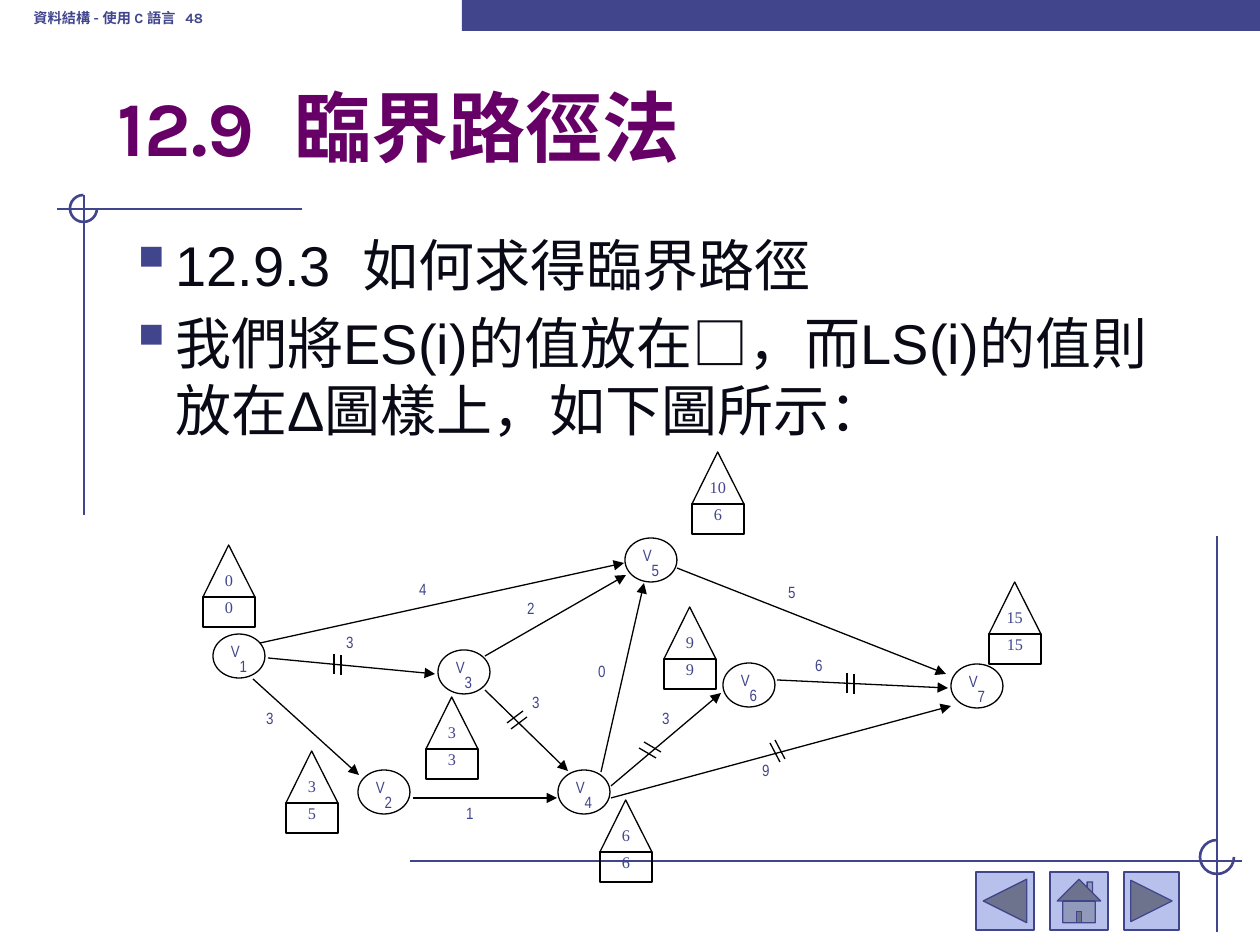
from lxml import etree
from pptx import Presentation
from pptx.dml.color import RGBColor
from pptx.enum.shapes import MSO_CONNECTOR, MSO_SHAPE as SHAPE
from pptx.enum.text import MSO_ANCHOR as ANCHOR, PP_ALIGN as ALIGN
from pptx.oxml.ns import qn
from pptx.util import Emu, Pt

EMU_PER_PX = 914400 / 126
INDIGO, BLACK, PURPLE, INK, PALE = "40458C", "000000", "660066", "090A15", "B7C1EB"
RAISED, LOWERED = 30000, -25000
NODE_W, NODE_H = 52, 44
BOX_H = 30

VERTICES = [(213, 634), (358, 770), (438, 650), (558, 770),
            (625, 538), (723, 663), (951, 664)]
ACTIVITIES = [
    (253, 679, 359, 775), (260, 643, 624, 563), (268, 658, 435, 674),
    (485, 690, 568, 771), (485, 656, 626, 575), (601, 772, 644, 583),
    (413, 798, 557, 798), (611, 786, 721, 693), (611, 798, 951, 706),
    (677, 568, 946, 674), (777, 680, 948, 688),
]
# left, top, LS in the triangle, ES in the box
TIMES = [
    (203, 545, "0", "0"), (286, 751, "3", "5"), (600, 800, "6", "6"),
    (989, 582, "15", "15"), (426, 697, "3", "3"), (664, 607, "9", "9"),
    (692, 452, "10", "6"),
]
WEIGHTS = [
    (397, 572, "4"), (324, 625, "3"), (244, 701, "3"), (444, 796, "1"),
    (510, 685, "3"), (505, 591, "2"), (576, 654, "0"), (640, 701, "3"),
    (740, 753, "9"), (793, 648, "6"), (766, 575, "5"),
]
# first stroke, then the shift to the second one
CRITICAL_MARKS = [
    ((847, 673, 847, 693), (7, 1)), ((639, 748, 656, 758), (5, -6)),
    ((770, 743, 780, 762), (5, -3)), ((523, 711, 507, 723), (4, 6)),
    ((334, 654, 334, 674), (7, 1)),
]


def px(*lengths):
    return [Emu(round(n * EMU_PER_PX)) for n in lengths]


def color(hex_string):
    return RGBColor.from_string(hex_string)


def style_run(run, size, face, hue, bold=False, baseline=None):
    run.font.size = Pt(size)
    run.font.name = face
    run.font.bold = bold
    run.font.color.rgb = color(hue)
    if baseline:
        run._r.get_or_add_rPr().set("baseline", str(baseline))


def add_figure(slide, kind, box, fill=None, line=None, width=0.75):
    figure = slide.shapes.add_shape(kind, *px(*box))
    figure.shadow.inherit = False
    if fill:
        figure.fill.solid()
        figure.fill.fore_color.rgb = color(fill)
    else:
        figure.fill.background()
    if line:
        figure.line.color.rgb = color(line)
        figure.line.width = Pt(width)
    else:
        figure.line.fill.background()
    return figure


def add_line(slide, ends, hue=BLACK, width=0.75, arrow=False):
    connector = slide.shapes.add_connector(MSO_CONNECTOR.STRAIGHT, *px(*ends))
    connector.line.color.rgb = color(hue)
    connector.line.width = Pt(width)
    if arrow:
        etree.SubElement(connector.line._get_or_add_ln(), qn("a:tailEnd"), type="triangle")
    etree.SubElement(connector._element.spPr, qn("a:effectLst"))


def label(figure, parts, face, spacing=0.96):
    """Centre (text, baseline) parts inside a figure."""
    frame = figure.text_frame
    frame.margin_left = frame.margin_right = frame.margin_top = frame.margin_bottom = 0
    frame.vertical_anchor = ANCHOR.MIDDLE
    frame.word_wrap = False
    paragraph = frame.paragraphs[0]
    paragraph.alignment = ALIGN.CENTER
    paragraph.line_spacing = spacing
    for text, baseline in parts:
        run = paragraph.add_run()
        run.text = text
        style_run(run, 16, face, INDIGO, baseline=baseline)


def add_text(slide, box, lines, size, face, hue, anchor=ANCHOR.TOP, **run_style):
    frame = slide.shapes.add_textbox(*px(*box)).text_frame
    frame.word_wrap = True
    frame.vertical_anchor = anchor
    frame.text = "\n".join(lines)
    for paragraph in frame.paragraphs:
        style_run(paragraph.runs[0], size, face, hue, **run_style)
    return frame


def add_bullet(paragraph):
    pPr = paragraph._p.get_or_add_pPr()
    indent = px(47)[0]
    pPr.set("marL", str(indent))
    pPr.set("indent", str(-indent))
    bullet_color = etree.SubElement(pPr, qn("a:buClr"))
    etree.SubElement(bullet_color, qn("a:srgbClr"), val=INDIGO)
    etree.SubElement(pPr, qn("a:buSzPct"), val="110000")
    etree.SubElement(pPr, qn("a:buChar"), char="▪")


def add_corner(slide, strokes, circle):
    """Crossed rules with a three-quarter circle open at the upper right."""
    for ends in strokes:
        add_line(slide, ends, INDIGO, 1.5)
    arc = add_figure(slide, SHAPE.ARC, circle, line=INDIGO, width=1.5)
    for i, degrees in enumerate((0, 270)):
        arc.adjustments[i] = degrees * 0.6


def add_frame(slide):
    add_corner(slide, [(302, 209, 57, 209), (84, 195, 84, 515)], (70, 195, 27, 27))
    add_figure(slide, SHAPE.RECTANGLE, (462, 0, 798, 31), INDIGO)
    for kind, left, width in ((SHAPE.ACTION_BUTTON_HOME, 1050, 58),
                              (SHAPE.ACTION_BUTTON_FORWARD_OR_NEXT, 1124, 55),
                              (SHAPE.ACTION_BUTTON_BACK_OR_PREVIOUS, 976, 58)):
        add_figure(slide, kind, (left, 872, width, 58), PALE, INDIGO)
    add_corner(slide, [(410, 861, 1242, 861), (1217, 536, 1217, 932)], (1200, 840, 34, 34))
    add_text(slide, (21, -21, 388, 63), ["資料結構 - 使用 C 語言   48"], 14, "Karla", INDIGO,
             ANCHOR.BOTTOM, bold=True, baseline=RAISED)


def add_wording(slide):
    add_text(slide, (105, 73, 1071, 105), ["12.9  臨界路徑法"], 44, "Karla", PURPLE,
             ANCHOR.BOTTOM, bold=True)
    body = add_text(slide, (116, 224, 1092, 689), [
        "12.9.3  如何求得臨界路徑",
        "我們將ES(i)的值放在□，而LS(i)的值則放在Δ圖樣上，如下圖所示：",
    ], 32, "Arial", INK)
    for paragraph in body.paragraphs:
        add_bullet(paragraph)
    body.paragraphs[1].space_before = Pt(6.4)


def add_network(slide):
    for number, (left, top) in enumerate(VERTICES, 1):
        vertex = add_figure(slide, SHAPE.OVAL, (left, top, NODE_W, NODE_H), line=BLACK)
        label(vertex, [("V", RAISED), (str(number), LOWERED)], "Arial Narrow")
    for ends in ACTIVITIES:
        add_line(slide, ends, arrow=True)
    for left, top, latest, earliest in TIMES:
        box = add_figure(slide, SHAPE.RECTANGLE, (left, top + NODE_W, NODE_W, BOX_H), line=BLACK)
        label(box, [(earliest, RAISED)], "Times New Roman")
        triangle = add_figure(slide, SHAPE.ISOSCELES_TRIANGLE, (left, top, NODE_W, NODE_W),
                              line=BLACK)
        triangle.adjustments[0] = 0.495
        label(triangle, [(latest, RAISED)], "Times New Roman", 1.0)
    for left, top, weight in WEIGHTS:
        spot = add_figure(slide, SHAPE.OVAL, (left, top, NODE_W, NODE_H))
        label(spot, [(weight, RAISED)], "Arial Narrow")
    for (x1, y1, x2, y2), (dx, dy) in CRITICAL_MARKS:
        add_line(slide, (x1, y1, x2, y2))
        add_line(slide, (x1 + dx, y1 + dy, x2 + dx, y2 + dy))


def main():
    deck = Presentation()
    deck.slide_width, deck.slide_height = px(1260, 945)
    slide = deck.slides.add_slide(deck.slide_layouts[6])
    add_frame(slide)
    add_wording(slide)
    add_network(slide)
    deck.save("out.pptx")


if __name__ == "__main__":
    main()
